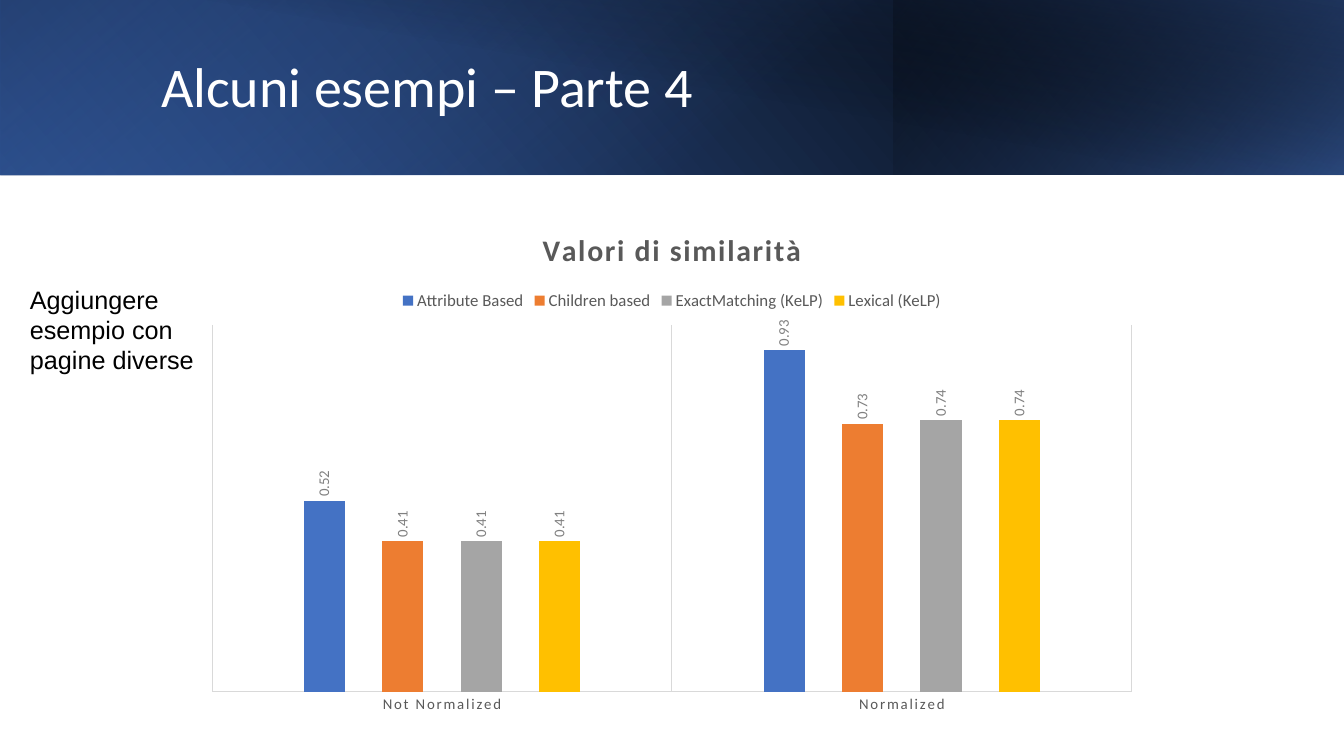
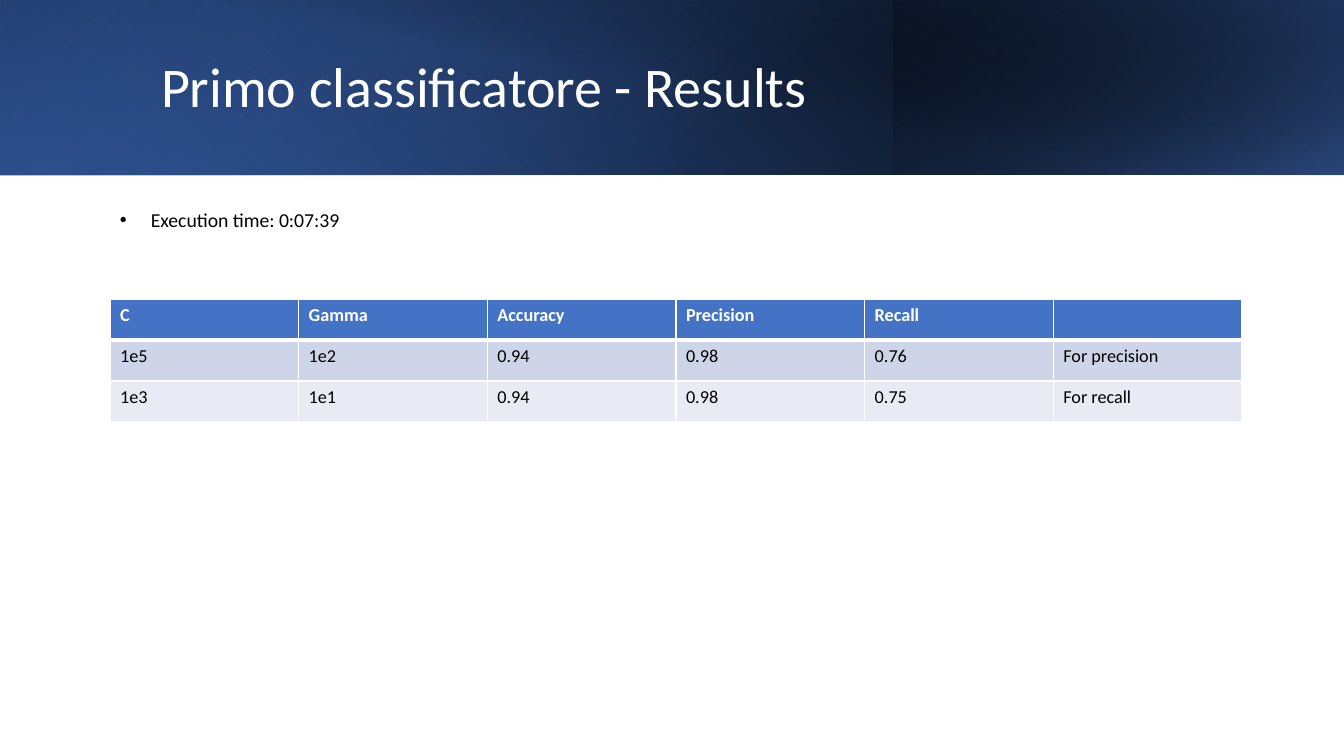
import pptx
import pptx.chart.data
import pptx.dml.color
import pptx.enum.chart
import pptx.enum.shapes
import pptx.enum.text
import pptx.oxml
import pptx.oxml.ns
import pptx.util

SCALE = 914400 / 100.8
WHITE, BLACK, GREY, LABEL_GREY, RULE_GREY = "FFFFFF", "000000", "595959", "808080", "D9D9D9"
BLUE, NAVY = "4472C4", "203864"
DRAWING_NS = pptx.oxml.ns.nsdecls("a")

TITLE_BOX = (151, 32, 1091, 114)
BANDS = [
    {"box": (0, 0, 1344, 175), "flip": True, "angle": 40,
     "stops": [(0, BLACK, 100), (100, "2F5597", 100)]},
    {"box": (0, 0, 894, 175), "flip": True, "rotation": 180, "angle": 130,
     "stops": [(20, BLUE, 0), (100, NAVY, 55)]},
    {"box": (894, 0, 450, 175), "flip": True, "angle": 320,
     "stops": [(0, BLUE, 66), (100, BLACK, 30)]},
    {"box": (50, 0, 1294, 176), "angle": 280,
     "stops": [(50, BLACK, 0), (100, NAVY, 52)]},
]

EXAMPLES_TITLE = "Alcuni esempi – Parte 4"
EXAMPLES_NOTE = "Aggiungere esempio con pagine diverse"
NOTE_BOX = (20, 279, 199, 95)
SIMILARITY_TITLE = "Valori di similarità"
SIMILARITY_BOX = (193, 209, 958, 515)
NORMALIZATION = ["Not Normalized", "Normalized"]
SIMILARITIES = [
    ("Attribute Based", (0.52, 0.93), BLUE),
    ("Children based", (0.41, 0.73), "ED7D31"),
    ("ExactMatching (KeLP)", (0.41, 0.74), "A5A5A5"),
    ("Lexical (KeLP)", (0.41, 0.74), "FFC000"),
]

RESULTS_TITLE = "Primo classificatore - Results"
EXECUTION_TIME = "Execution time: 0:07:39"
EXECUTION_BOX = (110, 203, 1105, 33)
BULLET_INDENT = 31
RESULTS_BOX = (110, 299, 1132, 123)
RESULTS = [
    ("C", "Gamma", "Accuracy", "Precision", "Recall", ""),
    ("1e5", "1e2", "0.94", "0.98", "0.76", "For precision"),
    ("1e3", "1e1", "0.94", "0.98", "0.75", "For recall"),
]
ROW_FILLS = [BLUE, "CFD5E9", "E8EBF4"]
THIN, THICK = 0.96, 3


def px(length):
    return round(length * SCALE)


def place(box):
    return [px(length) for length in box]


def rgb(value):
    return pptx.dml.color.RGBColor.from_string(value)


def apply(target, formats):
    for name, value in formats.items():
        setattr(target, name, value)


def set_font(font, size, color, face="Calibri", bold=False):
    apply(font, {"size": pptx.util.Pt(size), "name": face, "bold": bold})
    font.color.rgb = rgb(color)


def set_fill(target, color):
    target.fill.solid()
    target.fill.fore_color.rgb = rgb(color)


def xml(markup):
    return pptx.oxml.parse_xml(markup)


def add_band(slide, box, angle, stops, flip=False, rotation=0):
    band = slide.shapes.add_shape(pptx.enum.shapes.MSO_SHAPE.RECTANGLE, *place(box))
    band.shadow.inherit = False
    band.line.fill.background()
    band.rotation = rotation
    properties = band._element.spPr
    if flip:
        properties.xfrm.set("flipH", "1")
    stop_list = "".join(
        f'<a:gs pos="{position * 1000}"><a:srgbClr val="{color}">'
        f'<a:alpha val="{opacity * 1000}"/></a:srgbClr></a:gs>'
        for position, color, opacity in stops)
    properties.prstGeom.addnext(xml(
        f'<a:gradFill {DRAWING_NS} rotWithShape="1"><a:gsLst>{stop_list}</a:gsLst>'
        f'<a:lin ang="{angle * 60000}" scaled="0"/></a:gradFill>'))


def add_titled_slide(deck, heading):
    slide = deck.slides.add_slide(deck.slide_layouts[5])
    for band in BANDS:
        add_band(slide, **band)
    title = slide.shapes.title
    slide.shapes._spTree.append(title._element)
    apply(title, dict(zip(("left", "top", "width", "height"), place(TITLE_BOX))))
    title.text_frame.text = heading
    title.text_frame.vertical_anchor = pptx.enum.text.MSO_ANCHOR.MIDDLE
    paragraph = title.text_frame.paragraphs[0]
    apply(paragraph, {"alignment": pptx.enum.text.PP_ALIGN.LEFT, "line_spacing": 0.9})
    set_font(paragraph.runs[0].font, 40, WHITE)
    return slide


def add_text(slide, box, text, size, face="Calibri"):
    frame = slide.shapes.add_textbox(*place(box)).text_frame
    frame.word_wrap = True
    frame.text = text
    paragraph = frame.paragraphs[0]
    set_font(paragraph.runs[0].font, size, BLACK, face)
    return paragraph


def add_bullet(paragraph):
    properties = paragraph._p.get_or_add_pPr()
    properties.set("marL", str(px(BULLET_INDENT)))
    properties.set("indent", str(-px(BULLET_INDENT)))
    for markup in (
            f'<a:buClr {DRAWING_NS}><a:srgbClr val="{BLACK}"/></a:buClr>',
            f'<a:buFont {DRAWING_NS} typeface="Arial"/>',
            f'<a:buChar {DRAWING_NS} char="•"/>'):
        properties.append(xml(markup))


def add_similarity_chart(slide):
    similarity = pptx.chart.data.CategoryChartData()
    similarity.categories = NORMALIZATION
    for name, values, _ in SIMILARITIES:
        similarity.add_series(name, values)
    chart = slide.shapes.add_chart(
        pptx.enum.chart.XL_CHART_TYPE.COLUMN_CLUSTERED,
        *place(SIMILARITY_BOX), similarity).chart
    set_font(chart.font, 10, BLACK, "Arial")

    chart.has_title = True
    chart.chart_title.text_frame.text = SIMILARITY_TITLE
    heading = chart.chart_title.text_frame.paragraphs[0].runs[0]
    set_font(heading.font, 21.3, GREY, bold=True)
    heading.font._element.set("spc", "133")

    chart.has_legend = True
    apply(chart.legend, {"position": pptx.enum.chart.XL_LEGEND_POSITION.TOP,
                         "include_in_layout": False})
    set_font(chart.legend.font, 12, GREY)

    apply(chart.value_axis, {"visible": False, "has_major_gridlines": False,
                             "minimum_scale": 0, "maximum_scale": 1})
    categories = chart.category_axis
    apply(categories, {"has_major_gridlines": True,
                       "major_tick_mark": pptx.enum.chart.XL_TICK_MARK.NONE})
    for line in (categories.format.line, categories.major_gridlines.format.line):
        line.width = pptx.util.Pt(0.75)
        line.color.rgb = rgb(RULE_GREY)
    category_font = categories.tick_labels.font
    set_font(category_font, 10.6, GREY)
    category_font._element.set("spc", "133")

    plot = chart.plots[0]
    apply(plot, {"gap_width": 444, "overlap": -90, "vary_by_categories": False})
    for series, (_, _, color) in zip(plot.series, SIMILARITIES):
        set_fill(series.format, color)
        labels = series.data_labels
        apply(labels, {"show_value": True, "number_format": "General",
                       "number_format_is_linked": False,
                       "position": pptx.enum.chart.XL_LABEL_POSITION.OUTSIDE_END})
        set_font(labels.font, 10.6, LABEL_GREY)
        direction = labels._element.find(".//" + pptx.oxml.ns.qn("a:bodyPr"))
        direction.set("rot", "-5400000")
        direction.set("vert", "horz")


def set_borders(cell, widths):
    properties = cell._tc.get_or_add_tcPr()
    for index, (side, width) in enumerate(zip("LRTB", widths)):
        properties.insert(index, xml(
            f'<a:ln{side} {DRAWING_NS} w="{pptx.util.Pt(width)}"><a:solidFill>'
            f'<a:srgbClr val="{WHITE}"/></a:solidFill></a:ln{side}>'))


def add_results_table(slide):
    table = slide.shapes.add_table(
        len(RESULTS), len(RESULTS[0]), *place(RESULTS_BOX)).table
    table.horz_banding = False
    for row_index, (values, fill) in enumerate(zip(RESULTS, ROW_FILLS)):
        is_header = row_index == 0
        widths = (THIN, THIN, THICK if row_index == 1 else THIN,
                  THICK if is_header else THIN)
        for cell, value in zip(table.rows[row_index].cells, values):
            cell.text = value
            set_fill(cell, fill)
            set_borders(cell, widths)
            set_font(cell.text_frame.paragraphs[0].font, 13,
                     WHITE if is_header else BLACK, bold=is_header)


def main():
    deck = pptx.Presentation()
    apply(deck, {"slide_width": px(1344), "slide_height": px(756)})

    examples = add_titled_slide(deck, EXAMPLES_TITLE)
    add_similarity_chart(examples)
    add_text(examples, NOTE_BOX, EXAMPLES_NOTE, 18, "Arial")

    results = add_titled_slide(deck, RESULTS_TITLE)
    add_bullet(add_text(results, EXECUTION_BOX, EXECUTION_TIME, 14.1))
    add_results_table(results)

    deck.save("out.pptx")


if __name__ == "__main__":
    main()
